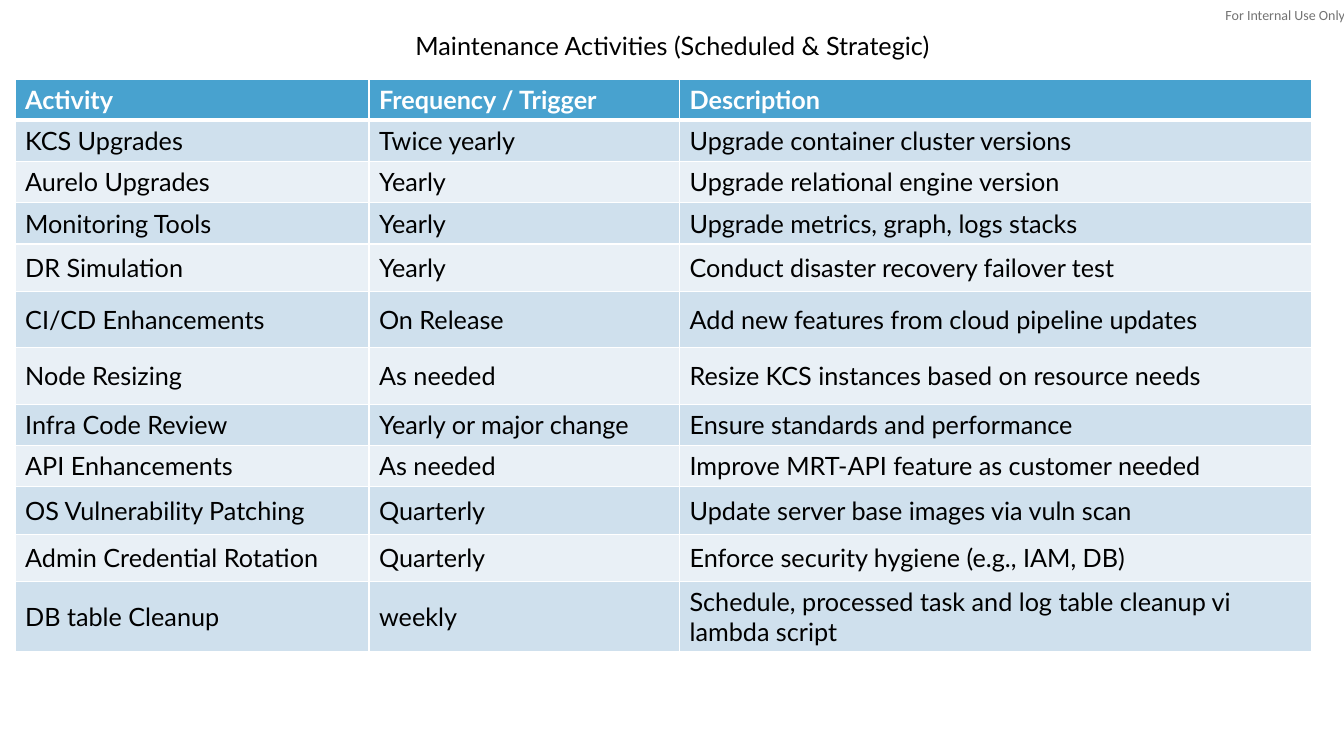
"""Build the maintenance activities slide."""
from dataclasses import dataclass

from lxml.etree import SubElement as Sub
from pptx import Presentation
from pptx.dml.color import RGBColor as Rgb
from pptx.enum.text import MSO_ANCHOR as Anchor, MSO_AUTO_SIZE as Auto, PP_ALIGN as Align
from pptx.oxml.ns import qn
from pptx.util import Inches, Pt


@dataclass(frozen=True)
class Theme:
    face: str = "Lato"
    note_face: str = "Calibri"
    size: int = 18
    note_size: int = 10
    ink: str = "000000"
    white: str = "FFFFFF"
    grey: str = "737373"
    head: str = "48A2CF"
    dark: str = "CFE0ED"
    light: str = "E9F0F6"
    thin: int = 1
    thick: int = 3


@dataclass(frozen=True)
class Row:
    name: str
    when: str
    text: str
    high: float = 0.41


LOOK = Theme()
COLS = (3.51, 3.08, 6.27)
ROWS = (
    Row("Activity", "Frequency / Trigger", "Description", 0.34),
    Row("KCS Upgrades", "Twice yearly", "Upgrade container cluster versions"),
    Row("Aurelo Upgrades", "Yearly", "Upgrade relational engine version"),
    Row("Monitoring Tools", "Yearly", "Upgrade metrics, graph, logs stacks"),
    Row("DR Simulation", "Yearly", "Conduct disaster recovery failover test", 0.47),
    Row("CI/CD Enhancements", "On Release", "Add new features from cloud pipeline updates", 0.56),
    Row("Node Resizing", "As needed", "Resize KCS instances based on resource needs", 0.56),
    Row("Infra Code Review", "Yearly or major change", "Ensure standards and performance"),
    Row("API Enhancements", "As needed", "Improve MRT-API feature as customer needed"),
    Row("OS Vulnerability Patching", "Quarterly", "Update server base images via vuln scan", 0.47),
    Row("Admin Credential Rotation", "Quarterly", "Enforce security hygiene (e.g., IAM, DB)", 0.47),
    Row("DB table Cleanup", "weekly",
        "Schedule, processed task and log table cleanup vi lambda script", 0.6),
)


def style(frame, color: str, face: str = LOOK.face, size: int = LOOK.size,
          bold: bool = False, align: Align = Align.LEFT) -> None:
    for para in frame.paragraphs:
        para.alignment = align
        for run in para.runs:
            font = run.font
            font.name, font.size, font.bold = face, Pt(size), bold
            font.color.rgb = Rgb.from_string(color)


def place(shape, left: float, top: float, width: float, height: float) -> None:
    shape.left, shape.top = Inches(left), Inches(top)
    shape.width, shape.height = Inches(width), Inches(height)
    frame = shape.text_frame
    frame.margin_left = frame.margin_right = frame.margin_top = frame.margin_bottom = 0
    frame.auto_size = Auto.NONE
    frame.word_wrap = True


def edge(cell, side: str, width: int) -> None:
    line = Sub(cell._tc.get_or_add_tcPr(), qn("a:ln" + side), w=str(Pt(width)))
    Sub(Sub(line, qn("a:solidFill")), qn("a:srgbClr"), val=LOOK.white)


def paint(cell, text: str, index: int) -> None:
    is_head = index == 0
    cell.text_frame.text = text
    cell.vertical_anchor = Anchor.MIDDLE
    style(cell.text_frame, LOOK.white if is_head else LOOK.ink, bold=is_head)
    thick = {(0, "B"), (1, "T")}
    for side in "LRTB":
        edge(cell, side, LOOK.thick if (index, side) in thick else LOOK.thin)
    fill = LOOK.head if is_head else LOOK.dark if index % 2 else LOOK.light
    cell.fill.solid()
    cell.fill.fore_color.rgb = Rgb.from_string(fill)


def add_note(slide) -> None:
    note = slide.shapes.add_textbox(0, 0, 0, 0)
    place(note, 11.82, 0, 1.52, 0.29)
    frame = note.text_frame
    frame.text = "For Internal Use Only"
    frame.vertical_anchor = Anchor.MIDDLE
    style(frame, LOOK.grey, LOOK.note_face, LOOK.note_size, align=Align.RIGHT)


def set_title(slide) -> None:
    title = slide.shapes.title
    place(title, 0.33, 0.33, 12.68, 0.33)
    frame = title.text_frame
    frame.text = "Maintenance Activities (Scheduled & Strategic)"
    frame.vertical_anchor = Anchor.TOP
    frame.paragraphs[0].line_spacing = 0.9
    style(frame, LOOK.ink, align=Align.CENTER)


def add_grid(slide) -> None:
    high = sum(row.high for row in ROWS)
    table = slide.shapes.add_table(
        len(ROWS), len(COLS), Inches(0.15), Inches(0.79),
        Inches(sum(COLS)), Inches(high)).table
    for col, width in zip(table.columns, COLS):
        col.width = Inches(width)
    for index, row in enumerate(ROWS):
        table.rows[index].height = Inches(row.high)
        for cell, text in zip(table.rows[index].cells, (row.name, row.when, row.text)):
            paint(cell, text, index)


def main() -> None:
    deck = Presentation()
    deck.slide_width, deck.slide_height = Inches(13.33), Inches(7.5)
    slide = deck.slides.add_slide(deck.slide_layouts.get_by_name("Title Only"))
    add_note(slide)
    set_title(slide)
    add_grid(slide)
    deck.save("out.pptx")


if __name__ == "__main__":
    main()
